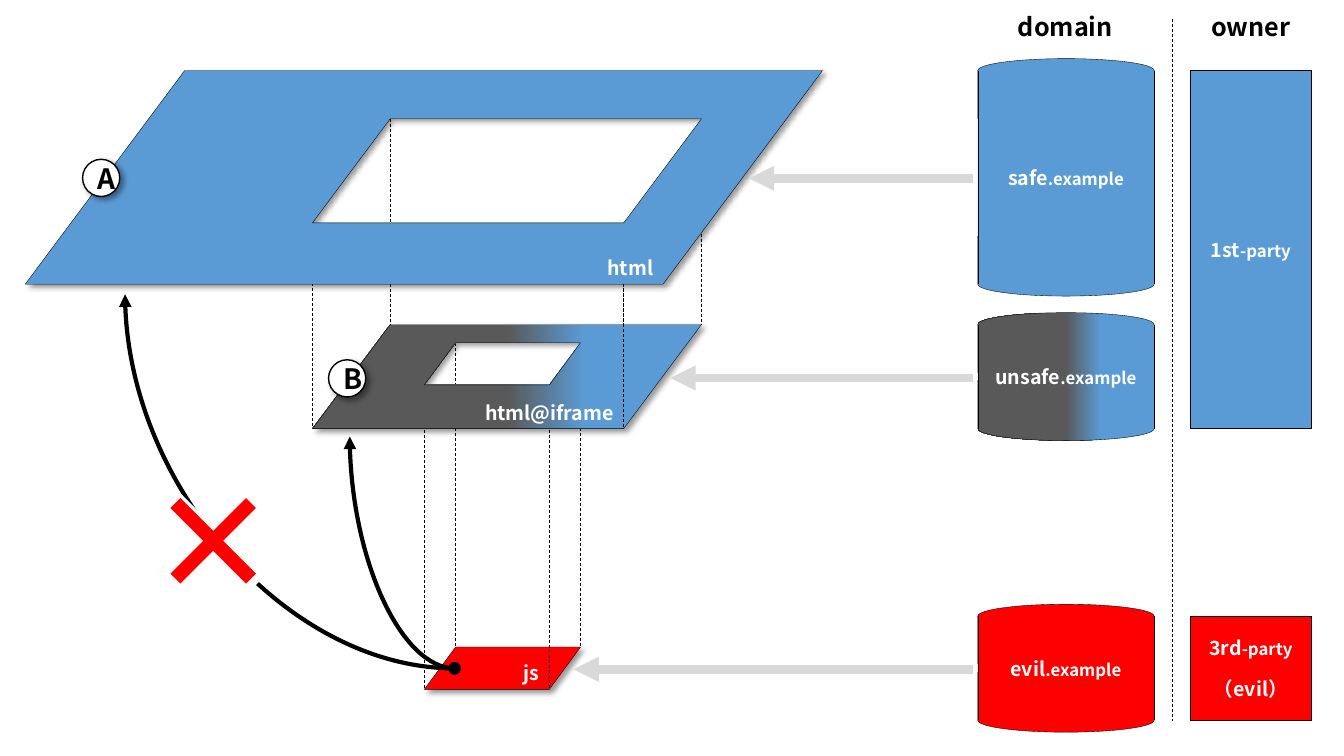
from dataclasses import dataclass

from lxml import etree
from pptx import Presentation
from pptx.dml.color import RGBColor
from pptx.enum.dml import MSO_LINE
from pptx.enum.shapes import MSO_CONNECTOR, MSO_SHAPE
from pptx.enum.text import MSO_ANCHOR, MSO_AUTO_SIZE, PP_ALIGN
from pptx.oxml.ns import qn
from pptx.util import Pt

STRAIGHT, CURVE = MSO_CONNECTOR.STRAIGHT, MSO_CONNECTOR.CURVE
DISK = MSO_SHAPE.FLOWCHART_MAGNETIC_DISK
PARALLELOGRAM = MSO_SHAPE.FLOWCHART_DATA
RECTANGLE, OVAL = MSO_SHAPE.RECTANGLE, MSO_SHAPE.OVAL
CENTER, RIGHT = PP_ALIGN.CENTER, PP_ALIGN.RIGHT
MIDDLE, TOP, BOTTOM = MSO_ANCHOR.MIDDLE, MSO_ANCHOR.TOP, MSO_ANCHOR.BOTTOM

FONT = "Noto Sans CJK JP"
BLUE, GRAY, RED = "5B9BD5", "595959", "FF0000"
WHITE, BLACK, ARROW_GRAY = "FFFFFF", "000000", "D9D9D9"
MIXED = "mixed"
MIXED_STOPS = [(0, BLUE), (30, BLUE), (50, GRAY), (100, GRAY)]

DOMAIN_LEFT, DOMAIN_WIDTH = 698.4, 126
OWNER_LEFT, OWNER_WIDTH = 850.3, 86.4
DISK_HEIGHT = 51
DISK_OVERHANG = DISK_HEIGHT / 6
ROW_HEIGHT = 74.4
SAFE_TOP, UNSAFE_TOP, EVIL_TOP = 50.4, 231.8, 440.1


@dataclass
class Box:
    left: float
    top: float
    width: float
    height: float

    @property
    def bottom(self) -> float:
        return self.top + self.height

    def corners(self) -> list[tuple[float, float]]:
        """Corners of the parallelogram whose slant is a fifth of the width."""
        slant = self.width / 5
        right = self.left + self.width
        return [(self.left + slant, self.top), (right, self.top),
                (right - slant, self.bottom), (self.left, self.bottom)]


@dataclass
class Domain:
    name: str
    top: float
    height: float
    color: str
    arrow_tip: float
    arrow_y: float


@dataclass
class Label:
    text: str
    box: Box
    size: float = 14
    color: str = WHITE
    align: PP_ALIGN = RIGHT
    anchor: MSO_ANCHOR = BOTTOM
    side_inset: float = 7.2


DOMAINS = [
    Domain("safe", SAFE_TOP, 152.6, BLUE, 535, 127.4),
    Domain("unsafe", UNSAFE_TOP, ROW_HEIGHT, MIXED, 478.8, 270),
    Domain("evil", EVIL_TOP, ROW_HEIGHT, RED, 409.7, 478.1),
]
HTML = Box(18, SAFE_TOP, 569.5, 152.6)
HTML_WINDOW = Box(223.2, 84.8, 277.9, ROW_HEIGHT)
IFRAME = Box(223.2, UNSAFE_TOP, 277.9, ROW_HEIGHT)
IFRAME_WINDOW = Box(303.1, 244.8, 111.6, 30.2)
JS = Box(303.1, 462.2, 111.6, 30.2)
JS_LABEL = Label("js", Box(365, 468, 27.4, 24.2))
IFRAME_LABEL = Label("html@iframe", Box(334.1, 282.2, 111.6, 24.2))
HTML_LABEL = Label("html", Box(424.8, 178.6, 49, 24.2))
HEADINGS = [
    Label("domain", Box(725, 4.3, 72, 29), 18, BLACK, CENTER, TOP, 0),
    Label("owner", Box(863.3, 4.3, 60.5, 29), 18, BLACK, CENTER, TOP, 0),
]
BADGES = [("A", 59, 113.8), ("B", 234.7, 257)]
SCRIPT_POINT = (324.7, 477.4)
CURVE_TIPS = [(89.3, 210.2), (249.8, 311.8)]
CROSS_X, CROSS_Y = 152.3, 386.3
CROSS_STROKES = [(31, WHITE, 15), (27, RED, 10)]


def rgb(color: str) -> RGBColor:
    return RGBColor.from_string(color)


def add_child(parent, tag: str, **attributes):
    return etree.SubElement(parent, qn(tag), attributes)


def paint(shape, color: str, line_width: float = 0.25, shadow: bool = False) -> None:
    """Set fill, black outline (none at zero width) and shadow."""
    properties = shape._element.spPr
    if color == MIXED:
        shape.fill.gradient()
        shape.fill.gradient_angle = 180
        stops = properties.find(qn("a:gradFill")).find(qn("a:gsLst"))
        for stop in list(stops):
            stops.remove(stop)
        for position, stop_color in MIXED_STOPS:
            stop = add_child(stops, "a:gs", pos=str(position * 1000))
            add_child(stop, "a:srgbClr", val=stop_color)
    else:
        shape.fill.solid()
        shape.fill.fore_color.rgb = rgb(color)
    if line_width:
        shape.line.color.rgb = rgb(BLACK)
        shape.line.width = Pt(line_width)
    else:
        shape.line.fill.background()
    shape.shadow.inherit = False
    if shadow:
        outer = add_child(properties.find(qn("a:effectLst")), "a:outerShdw",
                          blurRad=str(Pt(4)), dist=str(Pt(3)), dir="2700000",
                          algn="tl", rotWithShape="0")
        shade = add_child(outer, "a:srgbClr", val=BLACK)
        add_child(shade, "a:alpha", val="40000")


def add_box(slide, kind: MSO_SHAPE, box: Box, color: str, line_width: float = 0.25,
            shadow: bool = False):
    shape = slide.shapes.add_shape(kind, Pt(box.left), Pt(box.top),
                                   Pt(box.width), Pt(box.height))
    paint(shape, color, line_width, shadow)
    return shape


def write(shape, lines: list[list[tuple[str, float]]], color: str = WHITE,
          align: PP_ALIGN = CENTER, anchor: MSO_ANCHOR = MIDDLE,
          side_inset: float = 7.2) -> None:
    """Fill a shape with paragraphs, each a list of (text, size) runs."""
    frame = shape.text_frame
    frame.vertical_anchor = anchor
    frame.margin_left = frame.margin_right = Pt(side_inset)
    for index, pieces in enumerate(lines):
        paragraph = frame.add_paragraph() if index else frame.paragraphs[0]
        paragraph.alignment = align
        if index:
            paragraph.space_before = Pt(13)
        for text, size in pieces:
            run = paragraph.add_run()
            run.text = text
            run.font.size = Pt(size)
            run.font.bold = True
            run.font.color.rgb = rgb(color)
            run.font.name = FONT
            add_child(run.font._element, "a:ea", typeface=FONT)


def add_label(slide, label: Label) -> None:
    box = label.box
    text_box = slide.shapes.add_textbox(Pt(box.left), Pt(box.top), Pt(box.width), Pt(box.height))
    text_box.text_frame.word_wrap = False
    text_box.text_frame.auto_size = MSO_AUTO_SIZE.SHAPE_TO_FIT_TEXT
    write(text_box, [[(label.text, label.size)]], label.color, label.align,
          label.anchor, label.side_inset)


def add_line(slide, start: tuple[float, float], end: tuple[float, float],
             color: str = BLACK, width: float = 0.25, dashed: bool = False,
             arrow: bool = False, curved: bool = False) -> None:
    """Draw a line; a curved one leaves its start sideways, up and to the left."""
    first, last = (end, start) if curved else (start, end)
    line = slide.shapes.add_connector(CURVE if curved else STRAIGHT,
                                      *(Pt(value) for value in first + last))
    line.line.color.rgb = rgb(color)
    line.line.width = Pt(width)
    if dashed:
        line.line.dash_style = MSO_LINE.DASH
    properties = line._element.spPr
    outline = properties.find(qn("a:ln"))
    if curved:
        properties.find(qn("a:xfrm")).set("rot", "10800000")
        properties.find(qn("a:prstGeom")).set("prst", "curvedConnector2")
        add_child(outline, "a:headEnd", type="oval")
    if arrow:
        add_child(outline, "a:tailEnd", type="triangle")
    add_child(properties, "a:effectLst")


def add_sheet(slide, sheet: Box, window: Box, color: str) -> None:
    """Draw a slanted sheet with a slanted window cut out."""
    builder = None
    for contour in (window.corners(), sheet.corners()):
        points = [(Pt(x), Pt(y)) for x, y in contour]
        if builder is None:
            builder = slide.shapes.build_freeform(*points[0])
        else:
            builder.move_to(*points[0])
        builder.add_line_segments(points[1:], close=True)
    paint(builder.convert_to_shape(), color, shadow=True)


def add_domain(slide, domain: Domain) -> None:
    bottom = domain.top + domain.height
    for top in (domain.top - DISK_OVERHANG, bottom + DISK_OVERHANG - DISK_HEIGHT):
        add_box(slide, DISK, Box(DOMAIN_LEFT, top, DOMAIN_WIDTH, DISK_HEIGHT), domain.color)
    body = add_box(slide, RECTANGLE, Box(DOMAIN_LEFT, domain.top, DOMAIN_WIDTH, domain.height),
                   domain.color, 0)
    write(body, [[(domain.name, 14), (".example", 12)]])
    for x in (DOMAIN_LEFT, DOMAIN_LEFT + DOMAIN_WIDTH):
        add_line(slide, (x, domain.top), (x, bottom))


def main() -> None:
    deck = Presentation()
    deck.slide_width, deck.slide_height = Pt(960), Pt(540)
    slide = deck.slides.add_slide(deck.slide_layouts[6])

    for domain in DOMAINS:
        add_domain(slide, domain)
    third_party = add_box(slide, RECTANGLE, Box(OWNER_LEFT, EVIL_TOP, OWNER_WIDTH, ROW_HEIGHT), RED)
    write(third_party, [[("3rd", 14), ("-party", 12)], [("（evil）", 14)]], side_inset=0)
    first_party = add_box(slide, RECTANGLE, Box(OWNER_LEFT, SAFE_TOP, OWNER_WIDTH, 255.8), BLUE)
    write(first_party, [[("1st", 14), ("-party", 12)]])
    add_line(slide, (837.4, 13.7), (837.4, 514.8), width=0.5, dashed=True)

    add_box(slide, PARALLELOGRAM, JS, RED, shadow=True)
    add_label(slide, JS_LABEL)
    for window, layer in ((IFRAME_WINDOW, JS), (HTML_WINDOW, IFRAME)):
        for start, end in zip(window.corners(), layer.corners()):
            add_line(slide, start, end, width=0.5, dashed=True)
    add_sheet(slide, IFRAME, IFRAME_WINDOW, MIXED)
    add_label(slide, IFRAME_LABEL)
    add_sheet(slide, HTML, HTML_WINDOW, BLUE)
    add_label(slide, HTML_LABEL)
    front_x, front_y = IFRAME.corners()[2]
    add_line(slide, (front_x, HTML.bottom), (front_x, front_y), width=0.5, dashed=True)

    for domain in DOMAINS:
        add_line(slide, (694.8, domain.arrow_y), (domain.arrow_tip, domain.arrow_y),
                 ARROW_GRAY, 6, arrow=True)
    for tip in CURVE_TIPS:
        add_line(slide, SCRIPT_POINT, tip, width=3, arrow=True, curved=True)
    for reach, color, width in CROSS_STROKES:
        for rise in (reach, -reach):
            add_line(slide, (CROSS_X - reach, CROSS_Y - rise),
                     (CROSS_X + reach, CROSS_Y + rise), color, width)
    for letter, left, top in BADGES:
        badge = add_box(slide, OVAL, Box(left, top, 26.6, 26.6), WHITE, 1, shadow=True)
        write(badge, [[(letter, 20)]], BLACK)
    for heading in HEADINGS:
        add_label(slide, heading)
    deck.save("out.pptx")


if __name__ == "__main__":
    main()
